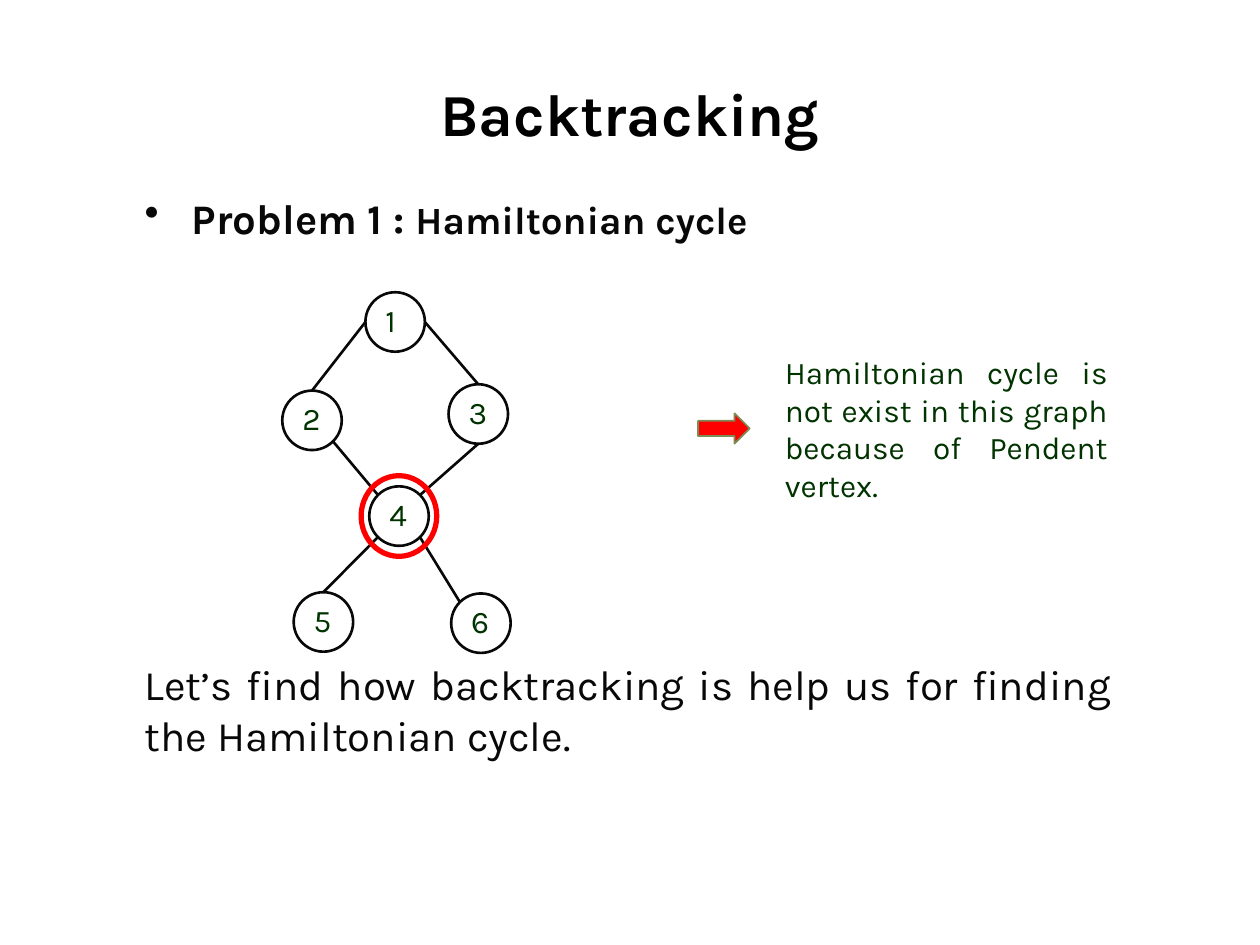
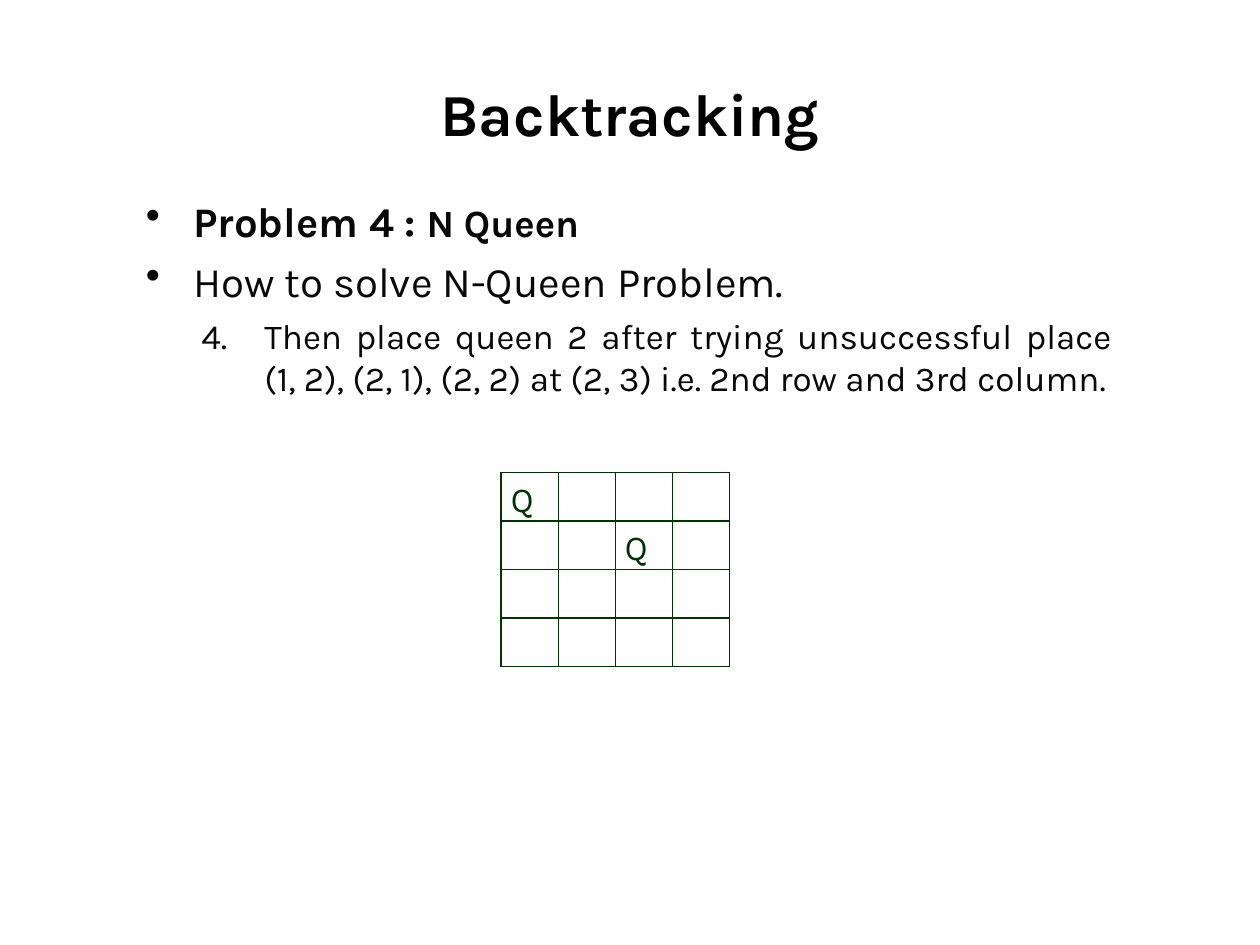
import pptx
import pptx.util
import pptx.dml.color
import pptx.enum.shapes
import pptx.enum.text
from dataclasses import dataclass
from lxml import etree

Pt = pptx.util.Pt
SHAPE = pptx.enum.shapes.MSO_SHAPE
ALIGN = pptx.enum.text.PP_ALIGN
ANCHOR = pptx.enum.text.MSO_ANCHOR
A = "http://schemas.openxmlformats.org/drawingml/2006/main"


@dataclass(frozen=True)
class Theme:
    font: str = "Karla"
    title_color: str = "000000"
    ink: str = "080808"
    green: str = "003300"
    red: str = "FF0000"
    arrow_edge: str = "7B8D55"
    title: int = 34
    body: int = 24
    topic: int = 22
    step: int = 20
    label: int = 18


def rgb(color):
    return pptx.dml.color.RGBColor.from_string(color)


def sub(parent, tag, **attrs):
    return etree.SubElement(parent, f"{{{A}}}{tag}", attrs)


def write(p, runs, font, color, size, bold=False, align=ALIGN.LEFT,
          before=0, left=0, hang=0, bullet=None, start=None):
    """Fill a paragraph; runs is a string or a list of (text, size) pairs."""
    pPr = p._p.get_or_add_pPr()
    if left:
        pPr.set("marL", str(Pt(left)))
        pPr.set("indent", str(Pt(-hang)))
    p.alignment = align
    if before:
        p.space_before = Pt(before)
    if bullet:
        sub(pPr, "buChar", char=bullet)
    elif start:
        sub(pPr, "buAutoNum", type="arabicPeriod", startAt=str(start))
    for text, run_size in [(runs, size)] if isinstance(runs, str) else runs:
        r = p.add_run()
        r.text = text
        r.font.name, r.font.size, r.font.bold = font, Pt(run_size), bold
        r.font.color.rgb = rgb(color)


class Deck:
    def __init__(self, theme):
        self.t = theme
        self.prs = pptx.Presentation()
        self.prs.slide_width, self.prs.slide_height = Pt(720), Pt(540)
        self.s = None

    def slide(self, title):
        self.s = self.prs.slides.add_slide(self.prs.slide_layouts[6])
        self.text((36, 36, 648, 56.9),
                  [dict(runs=title, size=self.t.title, bold=True,
                        color=self.t.title_color, align=ALIGN.CENTER)],
                  anchor=ANCHOR.MIDDLE)

    def text(self, box, paragraphs, anchor=ANCHOR.TOP):
        tf = self.s.shapes.add_textbox(*map(Pt, box)).text_frame
        tf.word_wrap = True
        tf.vertical_anchor = anchor
        for i, fmt in enumerate(paragraphs):
            p = tf.add_paragraph() if i else tf.paragraphs[0]
            write(p, **{"font": self.t.font, "color": self.t.ink,
                        "size": self.t.body, "align": ALIGN.JUSTIFY, **fmt})

    def problem(self, number, name):
        """Paragraph format of the bold heading bullet."""
        return dict(runs=[(f"Problem {number} : ", self.t.body), (name, self.t.topic)],
                    bold=True, left=27, hang=27, bullet="•")

    def shape(self, kind, box, line, width, fill=None):
        sp = self.s.shapes.add_shape(kind, *map(Pt, box))
        sp.shadow.inherit = False
        if fill:
            sp.fill.solid()
            sp.fill.fore_color.rgb = rgb(fill)
        else:
            sp.fill.background()
        sp.line.color.rgb = rgb(line)
        sp.line.width = Pt(width)
        return sp

    def node(self, label, x, y, d):
        tf = self.shape(SHAPE.OVAL, (x, y, d, d), self.t.ink, 1.5).text_frame
        tf.margin_left, tf.margin_bottom = Pt(6.5), Pt(2.8)
        tf.margin_top = tf.margin_right = 0
        tf.vertical_anchor = ANCHOR.MIDDLE
        write(tf.paragraphs[0], label, self.t.font, self.t.green, self.t.label)

    def line(self, start, end):
        c = self.s.shapes.add_connector(pptx.enum.shapes.MSO_CONNECTOR.STRAIGHT,
                                        *map(Pt, start + end))
        c.line.color.rgb = rgb(self.t.ink)
        c.line.width = Pt(1.5)
        sub(c._element.spPr, "effectLst")

    def board(self, x, y, n, col, row, queens):
        frame = self.s.shapes.add_table(n, n, Pt(x), Pt(y), Pt(n * col), Pt(n * row))
        tbl = frame.table
        tbl.first_row = tbl.horz_banding = False
        for i in range(n):
            tbl.columns[i].width, tbl.rows[i].height = Pt(col), Pt(row)
            for j in range(n):
                self.square(tbl.cell(i, j), "Q" if (i + 1, j + 1) in queens else "")

    def square(self, cell, text):
        cell.margin_left = Pt(5.5)
        cell.margin_top = cell.margin_right = Pt(0.7)
        cell.margin_bottom = 0
        cell.vertical_anchor = ANCHOR.BOTTOM
        tcPr = cell._tc.get_or_add_tcPr()
        for side in ("lnL", "lnR", "lnT", "lnB"):
            ln = sub(tcPr, side, w=str(Pt(1)))
            sub(sub(ln, "solidFill"), "srgbClr", val=self.t.green)
        cell.fill.background()
        if text:
            write(cell.text_frame.paragraphs[0], text, self.t.font,
                  self.t.green, self.t.step)


# Points on a circle, as fractions of its bounding square
NEAR, FAR = 0.15, 0.85
SITES = {"top": (0.5, 0), "bottom": (0.5, 1), "left": (0, 0.5), "right": (1, 0.5),
         "top left": (NEAR, NEAR), "top right": (FAR, NEAR),
         "bottom left": (NEAR, FAR), "bottom right": (FAR, FAR)}


def hamiltonian_slide(deck):
    t = deck.t
    deck.slide("Backtracking")
    deck.text((75.6, 106.6, 566.6, 40), [deck.problem(1, "Hamiltonian cycle")])
    deck.text((75.6, 373, 566.6, 66), [dict(
        runs="Let’s find how backtracking is help us for finding the Hamiltonian cycle.")])

    # Conclusion
    deck.shape(SHAPE.RIGHT_ARROW, (398.9, 236.2, 29.5, 17.3), t.arrow_edge, 1, t.red)
    deck.text((441.4, 198, 198.7, 94.3), [dict(
        runs="Hamiltonian cycle is not exist in this graph because of Pendent vertex.",
        size=t.label, color=t.green)])

    # Graph
    d = 34
    nodes = {1: (208.8, 167), 2: (161.3, 223.2), 3: (256.3, 219.6),
             4: (211, 277.9), 5: (167.8, 338.4), 6: (257.8, 339.1)}
    edges = [(1, "right", 3, "top"), (1, "left", 2, "top"),
             (2, "bottom right", 4, "top left"), (4, "top right", 3, "bottom"),
             (4, "bottom left", 5, "top"), (4, "bottom right", 6, "top left")]

    def site(node, name):
        return tuple(pos + d * part for pos, part in zip(nodes[node], SITES[name]))

    for label, (x, y) in nodes.items():
        deck.node(str(label), x, y, d)
    for a, a_site, b, b_site in edges:
        deck.line(site(a, a_site), site(b, b_site))

    # Ring around the cut vertex
    w, h = 43.2, 46.1
    x, y = nodes[4]
    deck.shape(SHAPE.OVAL, (x + (d - w) / 2, y + (d - h) / 2, w, h), t.red, 3)


def queens_slide(deck):
    deck.slide("Backtracking")
    deck.text((76.3, 108, 566.6, 324), [
        deck.problem(4, "N Queen"),
        dict(runs="How to solve N-Queen Problem.", left=27, hang=27,
             bullet="•", before=5.6),
        dict(runs="Then place queen 2 after trying unsuccessful place "
                  "(1, 2), (2, 1), (2, 2) at (2, 3) i.e. 2nd row and 3rd column.",
             size=deck.t.step, left=67.7, hang=36, start=4, before=4.7)])
    deck.board(286.4, 270, 4, 32.6, 27.75, queens={(1, 1), (2, 3)})


def main():
    deck = Deck(Theme())
    hamiltonian_slide(deck)
    queens_slide(deck)
    deck.prs.save("out.pptx")


if __name__ == "__main__":
    main()
